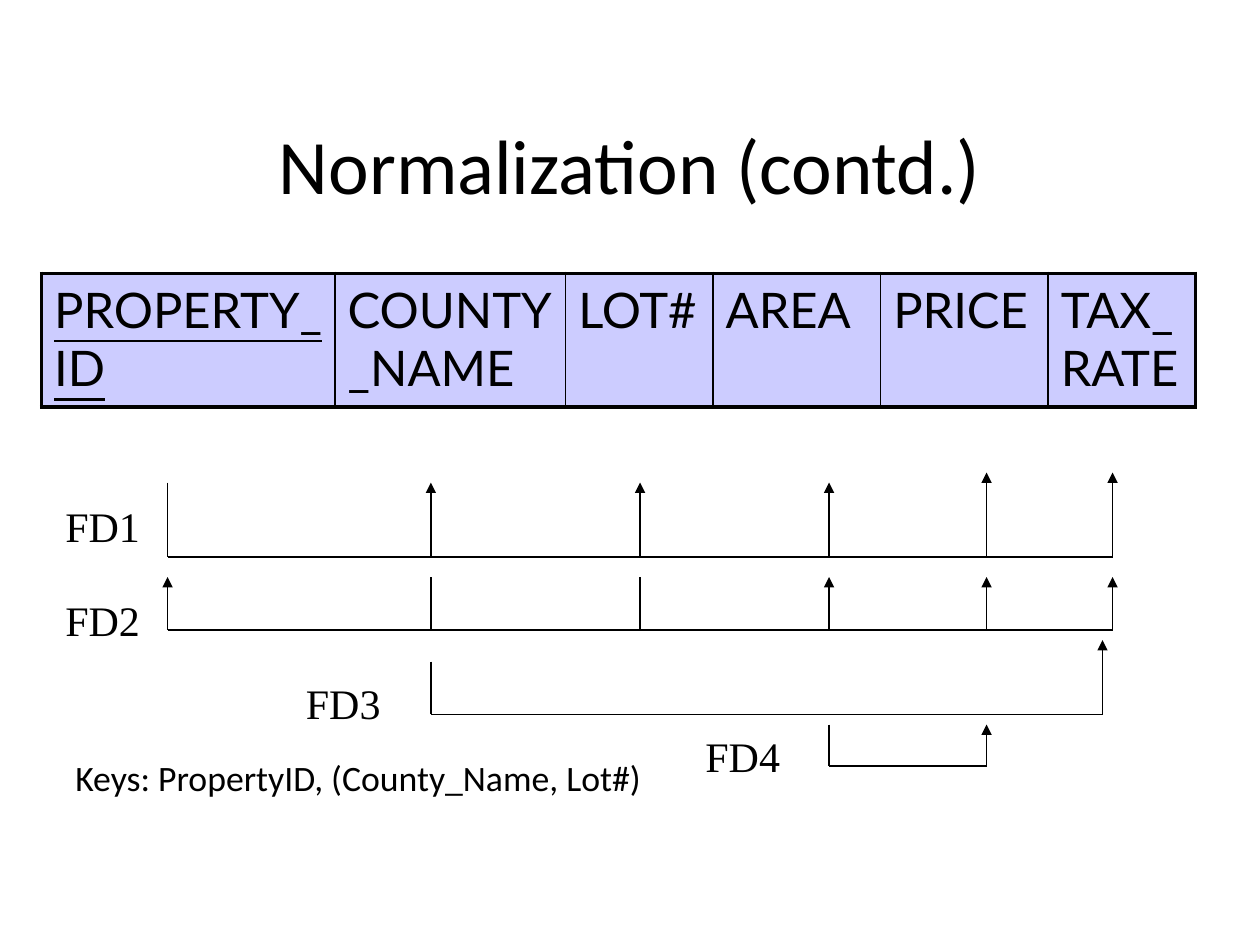
from lxml.etree import SubElement
from pptx import Presentation
from pptx.dml.color import RGBColor
from pptx.enum.shapes import MSO_CONNECTOR as Connector
from pptx.enum.text import MSO_ANCHOR as Anchor, PP_ALIGN as Align
from pptx.oxml.ns import qn
from pptx.util import Inches, Pt

COLORS = {"ink": "000000", "cell": "CCCCFF"}
INK = RGBColor.from_string(COLORS["ink"])


def write(frame, text, font, size, align=Align.LEFT, **formats):
    para = frame.paragraphs[0]
    para.alignment = align
    span = para.add_run()
    span.text = text
    span.font.color.rgb = INK
    for name, value in {"name": font, "size": Pt(size), **formats}.items():
        setattr(span.font, name, value)


def draw_line(shapes, start, end, arrow=False):
    line = shapes.add_connector(Connector.STRAIGHT, *map(Inches, start + end))
    line.line.color.rgb = INK
    line.line.width = Pt(0.75)
    if arrow:
        SubElement(line.line._get_or_add_ln(), qn("a:tailEnd"), type="triangle")
    SubElement(line._element.spPr, qn("a:effectLst"))


deck = Presentation()
deck.slide_width, deck.slide_height = Inches(10), Inches(7.5)
page = deck.slides.add_slide(deck.slide_layouts[6])

# Title and key summary
for text, place, size, align in [
    ("Normalization (contd.)", (0.5, 0.67, 9, 1.25), 44, Align.CENTER),
    ("Keys: PropertyID, (County_Name, Lot#)", (0.5, 5.92, 5.2, 0.5), 20.4, Align.LEFT),
]:
    box = page.shapes.add_textbox(*map(Inches, place))
    box.text_frame.word_wrap = True
    box.text_frame.vertical_anchor = Anchor.MIDDLE
    write(box.text_frame, text, "Calibri", size, align)

# Relation schema
attributes = [("PROPERTY_ID", 2.33), ("COUNTY_NAME", 1.83), ("LOT#", 1.17),
              ("AREA", 1.33), ("PRICE", 1.33), ("TAX_RATE", 1.17)]
last = len(attributes) - 1
table = page.shapes.add_table(1, len(attributes), Inches(0.33), Inches(2.17),
                              Inches(9.17), Inches(1.06)).table
table.first_row = table.horz_banding = False
for index, (name, width) in enumerate(attributes):
    table.columns[index].width = Inches(width)
    cell = table.cell(0, index)
    write(cell.text_frame, name, "Lato", 28, underline=index == 0)
    borders = {"lnL": 2.25 if index == 0 else 1, "lnR": 2.25 if index == last else 1,
               "lnT": 2.25, "lnB": 2.25}
    for side, points in borders.items():
        border = SubElement(cell._tc.get_or_add_tcPr(), qn(f"a:{side}"), w=str(Pt(points)))
        fill = SubElement(border, qn("a:solidFill"))
        SubElement(fill, qn("a:srgbClr"), val=COLORS["ink"])
    cell.fill.solid()
    cell.fill.fore_color.rgb = RGBColor.from_string(COLORS["cell"])

# Functional dependencies: label, label corner, baseline,
# determinants and dependents as {x: top of the line}
ID, COUNTY, LOT, AREA, PRICE, TAX = 1.33, 3.42, 5.08, 6.58, 7.83, 8.83
dependencies = [
    ("FD1", (0.42, 3.92), 4.42, {ID: 3.83},
     {COUNTY: 3.83, LOT: 3.83, AREA: 3.83, PRICE: 3.75, TAX: 3.75}),
    ("FD2", (0.42, 4.67), 5, dict.fromkeys([COUNTY, LOT], 4.58),
     dict.fromkeys([ID, AREA, PRICE, TAX], 4.58)),
    ("FD3", (2.33, 5.33), 5.67, {COUNTY: 5.25}, {8.75: 5.08}),
    ("FD4", (5.5, 5.75), 6.08, {AREA: 5.75}, {PRICE: 5.75}),
]
for label, corner, base, determinants, dependents in dependencies:
    shapes = page.shapes.add_group_shape().shapes
    ends = [*determinants, *dependents]
    draw_line(shapes, (min(ends), base), (max(ends), base))
    for x, top in determinants.items():
        draw_line(shapes, (x, top), (x, base))
    for x, top in dependents.items():
        draw_line(shapes, (x, base), (x, top), arrow=True)
    box = shapes.add_textbox(*map(Inches, corner + (0.8, 0.5)))
    box.text_frame.word_wrap = False
    write(box.text_frame, label, "Times New Roman", 24)

deck.save("out.pptx")
